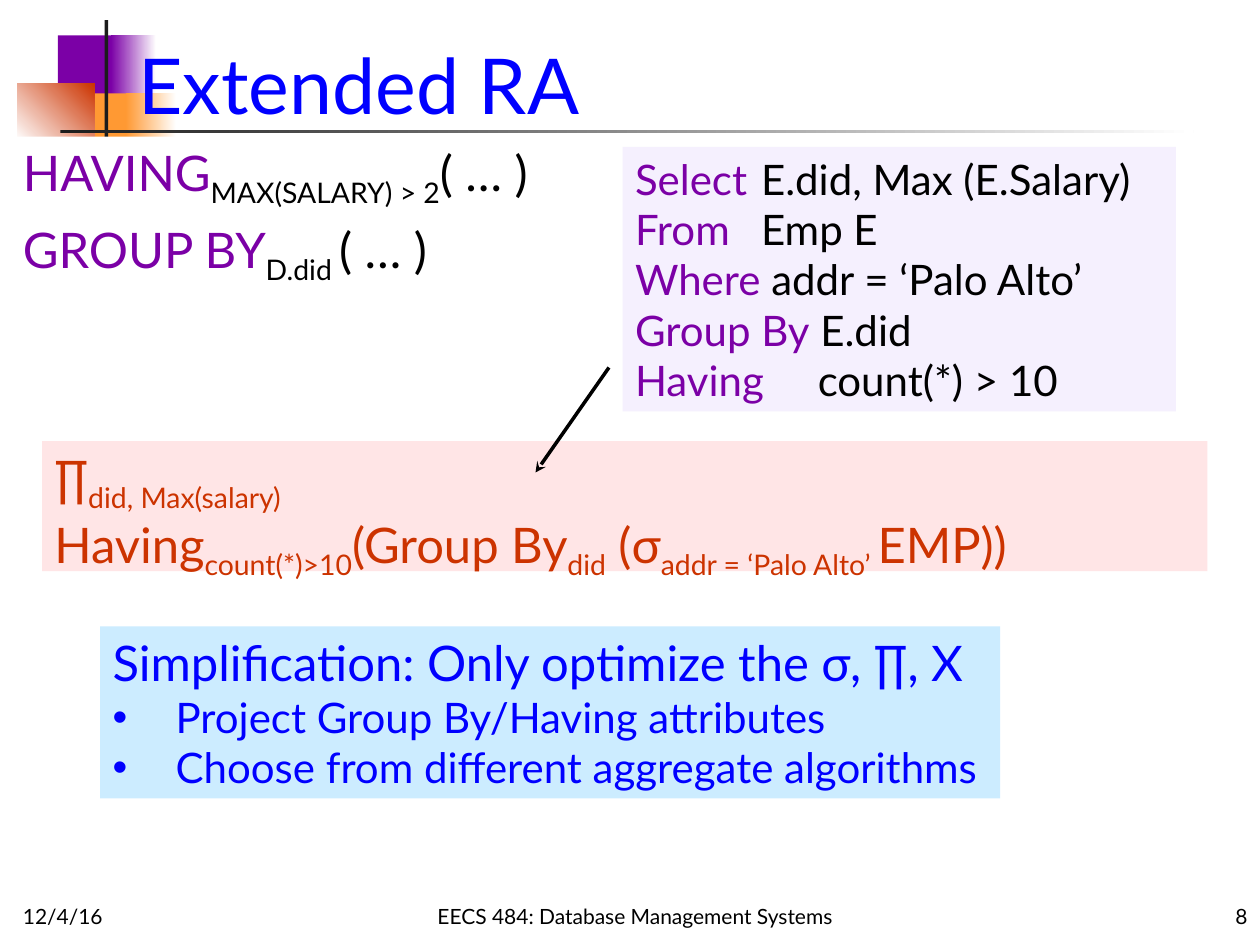
import dataclasses

import pptx
import pptx.dml.color
import pptx.enum.shapes
import pptx.enum.text
import pptx.oxml.ns
import pptx.util
from lxml import etree

COLS, ROWS = 120, 90
CELL = pptx.util.Inches(10) // COLS
ALIGN = pptx.enum.text.PP_ALIGN
ANCHOR = pptx.enum.text.MSO_ANCHOR
KINDS = pptx.enum.shapes


@dataclasses.dataclass(frozen=True)
class Theme:
    font: str = "Lato"
    title: int = 44
    large: int = 28
    code: int = 24
    small: int = 12
    black: str = "000000"
    white: str = "FFFFFF"
    dark: str = "1C1C1C"
    blue: str = "0000FF"
    purple: str = "7B00A6"
    orange: str = "FF9933"
    red: str = "CC3300"
    lilac: str = "F5F0FE"
    pink: str = "FFE5E6"
    sky: str = "CCECFF"


THEME = Theme()


def tint(code):
    return pptx.dml.color.RGBColor.from_string(code)


def cells(*counts):
    return [round(count * CELL) for count in counts]


def child(parent, tag, **attrs):
    node = etree.SubElement(parent, pptx.oxml.ns.qn(tag))
    for name, value in attrs.items():
        node.set(name, str(value))
    return node


def block(slide, box, fill, fade=None, angle=0):
    """Add a plain rectangle; with fade, blend fill into it along angle."""
    shape = slide.shapes.add_shape(KINDS.MSO_SHAPE.RECTANGLE, *cells(*box))
    shape.shadow.inherit = False
    shape.line.fill.background()
    if fade:
        shape.fill.gradient()
        shape.fill.gradient_angle = angle
        for stop, code in zip(shape.fill.gradient_stops, (fill, fade)):
            stop.color.rgb = tint(code)
    else:
        shape.fill.solid()
        shape.fill.fore_color.rgb = tint(fill)
    return shape


def write(para, parts, size, align=ALIGN.LEFT):
    """Fill a paragraph from (text, colour) parts; a third item lowers the text."""
    para.alignment = align
    for text, code, *low in parts:
        run = para.add_run()
        run.text = text
        run.font.name = THEME.font
        run.font.size = pptx.util.Pt(size)
        run.font.color.rgb = tint(code)
        if low:
            run._r.get_or_add_rPr().set("baseline", "-25000")


def fill_text(shape, lines, size, anchor=ANCHOR.TOP, align=ALIGN.LEFT):
    frame = shape.text_frame
    frame.word_wrap = True
    frame.vertical_anchor = anchor
    for index, parts in enumerate(lines):
        para = frame.add_paragraph() if index else frame.paragraphs[0]
        write(para, parts, size, align)
    return frame.paragraphs


def hang(para, width, bullet=None):
    props = para._p.get_or_add_pPr()
    props.set("marL", str(round(width * CELL)))
    props.set("indent", str(round(-width * CELL)))
    if bullet:
        child(props, "a:buFont", typeface="Arial")
        child(props, "a:buChar", char=bullet)


def label(slide, box, text, size, code, align=ALIGN.LEFT):
    shape = slide.shapes.add_textbox(*cells(*box))
    fill_text(shape, [[(text, code)]], size, ANCHOR.BOTTOM, align)


def motif(slide, box):
    """Draw the coloured squares and crossing rules behind the title."""
    left, top, width, height = box
    t = THEME
    side = 6.24
    upper, lower = 1.44, 6.96
    for x, y, w, h, *look in (
        (3.84, upper, 5.76, side, t.purple),
        (8.88, upper, 4.32, side, t.purple, t.white),
        (5.4, lower, 5.52, side, t.orange),
        (10.32, lower, 4.8, side, t.orange, t.white),
        (0, 6, 7.32, 5.52, t.white, t.red, 45),
        (8.28, 0, 0.36, height, t.dark),
        (4.08, 10.44, width - 4.08, 0.36, t.dark, t.white),
    ):
        block(slide, (left + x, top + y, w, h), *look)


def footer(slide, box):
    left, top, width, height = box
    side, middle = 25, 65
    for x, w, text, align in (
        (0, side, "12/4/16", ALIGN.LEFT),
        (27, middle, "EECS 484: Database Management Systems", ALIGN.CENTER),
        (width - side, side, "8", ALIGN.RIGHT),
    ):
        label(slide, (left + x, top, w, height), text, THEME.small, THEME.black, align)


def syntax(slide, box):
    t = THEME
    lines = [
        [(word, t.purple), (sub, t.black, True), ("( … )", t.black)]
        for word, sub in (("HAVING", "MAX(SALARY) > 2"), ("GROUP BY", "D.did "))
    ]
    for para in fill_text(block(slide, box, t.white), lines, t.large):
        hang(para, 8)
        para.space_before = pptx.util.Pt(0.2 * t.large)


def query(slide, box):
    t = THEME
    lines = [
        [(word, t.purple), (rest, t.black)]
        for word, rest in (
            ("Select", "\tE.did, Max (E.Salary)"),
            ("From", "\tEmp E"),
            ("Where", " addr = ‘Palo Alto’"),
            ("Group By", " E.did"),
            ("Having", "\tcount(*) > 10"),
        )
    ]
    for para in fill_text(block(slide, box, t.lilac), lines, t.code):
        tabs = child(para._p.get_or_add_pPr(), "a:tabLst")
        for stop in cells(12, 17.4):
            child(tabs, "a:tab", pos=stop, algn="l")


def algebra(slide, box):
    """Show the query as an expression, with an arrow leading into it."""
    left, top = box[:2]
    red = THEME.red
    lines = [
        [("∏", red), ("did, Max(salary)", red, True)],
        [
            ("Having", red), ("count(*)>10", red, True),
            ("(Group By", red), ("did", red, True),
            (" (σ", red), ("addr = ‘Palo Alto’ ", red, True),
            ("EMP))", red),
        ],
    ]
    fill_text(block(slide, box, THEME.pink), lines, THEME.large)
    ends = cells(left + 54, top - 7, left + 47, top + 3)
    arrow = slide.shapes.add_connector(KINDS.MSO_CONNECTOR.STRAIGHT, *ends)
    arrow.line.color.rgb = tint(THEME.black)
    arrow.line.width = pptx.util.Pt(2)
    child(arrow.line._get_or_add_ln(), "a:tailEnd", type="stealth")
    child(arrow._element.spPr, "a:effectLst")


def summary(slide, box):
    t = THEME
    heading = [("Simplification: Only optimize the σ, ∏, X", t.blue)]
    points = ("Project Group By/Having attributes",
              "Choose from different aggregate algorithms")
    shape = block(slide, box, t.sky)
    hang(fill_text(shape, [heading], t.large)[0], 6)
    for point in points:
        para = shape.text_frame.add_paragraph()
        write(para, [(point, t.blue)], t.code)
        hang(para, 6, "•")


def main():
    deck = pptx.Presentation()
    deck.slide_width, deck.slide_height = cells(COLS, ROWS)
    slide = deck.slides.add_slide(deck.slide_layouts[6])
    motif(slide, (1.68, 1.92, 112, 13.8))
    footer(slide, (1, 83, COLS - 1, 6))
    label(slide, (12, -2, 106, 15), "Extended RA", THEME.title, THEME.blue)
    syntax(slide, (1, 13, 57, 16))
    query(slide, (59.3, 14, 52.7, 25.2))
    algebra(slide, (4, 42, 111, 12.4))
    summary(slide, (9.55, 59.65, 85.7, 16.4))
    deck.save("out.pptx")


if __name__ == "__main__":
    main()
